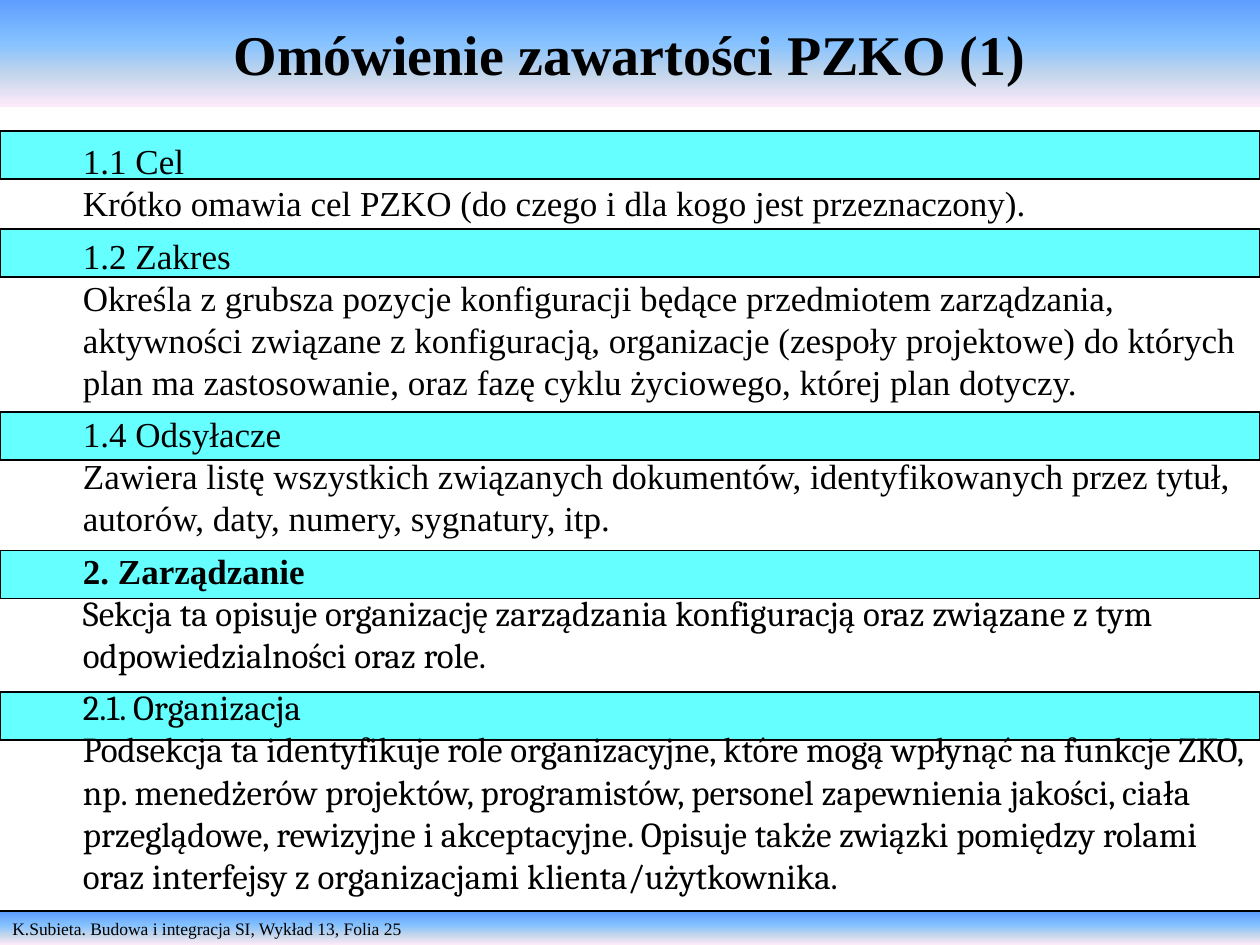
from lxml import etree
from pptx import Presentation
from pptx.dml.color import RGBColor
from pptx.enum import shapes, text
from pptx.oxml.ns import qn
from pptx.util import Pt

WIDTH, HEIGHT = 720, 540
SERIF, BODY = "Times New Roman", "Cambria"
BLACK, AQUA = "000000", "66FFFF"
SKY = [(0, "5E9EFF"), (40, "85C2FF"), (70, "C4D6EB"), (100, "FFEBFA")]
INSETS = dict(margin_left=Pt(7.2), margin_top=Pt(3.6),
              margin_right=Pt(7.2), margin_bottom=Pt(3.6))
BAND_TOPS = [74.9, 131, 235.4, 314.6, 395.3]
BAND_HEIGHT = 27.4

# heading, heading font, heading is bold, description, description font
SECTIONS = [
    ("1.1 Cel", SERIF, False,
     "Krótko omawia cel PZKO (do czego i dla kogo jest przeznaczony).", SERIF),
    ("1.2 Zakres", SERIF, False,
     "Określa z grubsza pozycje konfiguracji będące przedmiotem zarządzania, "
     "aktywności związane z konfiguracją, organizacje (zespoły projektowe) do "
     "których plan ma zastosowanie, oraz fazę cyklu życiowego, której plan "
     "dotyczy.", SERIF),
    ("1.4 Odsyłacze", SERIF, False,
     "Zawiera listę wszystkich związanych dokumentów, identyfikowanych przez "
     "tytuł, autorów, daty, numery, sygnatury, itp.", SERIF),
    ("2. Zarządzanie", SERIF, True,
     "Sekcja ta opisuje organizację zarządzania konfiguracją oraz związane z "
     "tym odpowiedzialności oraz role.", BODY),
    ("2.1. Organizacja", BODY, False,
     "Podsekcja ta identyfikuje role organizacyjne, które mogą wpłynąć na "
     "funkcje ZKO, np. menedżerów projektów, programistów, personel "
     "zapewnienia jakości, ciała przeglądowe, rewizyjne i akceptacyjne. "
     "Opisuje także związki pomiędzy rolami oraz interfejsy z organizacjami "
     "klienta/użytkownika.", BODY),
]


def color(hex_code):
    return RGBColor.from_string(hex_code)


def apply(target, **values):
    for name, value in values.items():
        setattr(target, name, value)


def write(paragraph, words, size, font=SERIF, bold=False):
    run = paragraph.add_run()
    run.text = words
    apply(run.font, size=Pt(size), name=font, bold=bold)
    run.font.color.rgb = color(BLACK)


def fill_sky(shape):
    """Fill with the four-stop gradient, running from top to bottom."""
    shape.fill.gradient()
    gradient = shape._element.spPr.find(qn("a:gradFill"))
    stops = gradient.find(qn("a:gsLst"))
    for stop in list(stops):
        stops.remove(stop)
    for percent, hex_code in SKY:
        stop = etree.SubElement(stops, qn("a:gs"), pos=str(percent * 1000))
        etree.SubElement(stop, qn("a:srgbClr"), val=hex_code)
    gradient.find(qn("a:lin")).set("ang", "5400000")


def add_bar(slide, left, top, width, height):
    bar = slide.shapes.add_shape(shapes.MSO_SHAPE.RECTANGLE, Pt(left), Pt(top),
                                 Pt(width), Pt(height))
    bar.shadow.inherit = False
    return bar


def add_footer(slide, left, top, width, height):
    bar = add_bar(slide, left, top, width, height)
    fill_sky(bar)
    bar.line.fill.background()
    apply(bar.text_frame, vertical_anchor=text.MSO_ANCHOR.TOP,
          word_wrap=True, **INSETS)
    credit = bar.text_frame.paragraphs[0]
    credit.alignment = text.PP_ALIGN.LEFT
    write(credit, "K.Subieta. Budowa i integracja SI, Wykład 13, Folia 25", 10)

    rule = slide.shapes.add_connector(
        shapes.MSO_CONNECTOR.STRAIGHT, Pt(left), Pt(top - 0.7),
        Pt(left + width), Pt(top - 0.7))
    rule.line.color.rgb = color(BLACK)
    rule.line.width = Pt(1)
    etree.SubElement(rule._element.spPr, qn("a:effectLst"))


def add_heading_bands(slide, left, width):
    for top in BAND_TOPS:
        band = add_bar(slide, left, top, width, BAND_HEIGHT)
        band.fill.solid()
        band.fill.fore_color.rgb = color(AQUA)
        band.line.color.rgb = color(BLACK)
        band.line.width = Pt(1)


def place_title(slide, left, top, width, height):
    title = slide.shapes.title
    apply(title, left=Pt(left), top=Pt(top), width=Pt(width), height=Pt(height))
    fill_sky(title)
    apply(title.text_frame, vertical_anchor=text.MSO_ANCHOR.MIDDLE,
          auto_size=text.MSO_AUTO_SIZE.NONE, word_wrap=True, **INSETS)
    heading = title.text_frame.paragraphs[0]
    heading.alignment = text.PP_ALIGN.CENTER
    write(heading, "Omówienie zawartości PZKO (1)", 32, bold=True)


def add_sections(slide, left, top, width, height):
    frame = slide.shapes.add_textbox(Pt(left), Pt(top), Pt(width),
                                     Pt(height)).text_frame
    apply(frame, word_wrap=True, **INSETS)
    paragraph = frame.paragraphs[0]
    for heading, heading_font, bold, description, font in SECTIONS:
        if paragraph is None:
            paragraph = frame.add_paragraph()
        apply(paragraph, line_spacing=Pt(24), space_after=Pt(0))
        write(paragraph, heading, 20, heading_font, bold)
        paragraph = frame.add_paragraph()
        apply(paragraph, line_spacing=Pt(24), space_after=Pt(6))
        write(paragraph, description, 20, font)
        paragraph = None


def main():
    deck = Presentation()
    apply(deck, slide_width=Pt(WIDTH), slide_height=Pt(HEIGHT))
    slide = deck.slides.add_slide(deck.slide_layouts.get_by_name("Title Only"))
    add_footer(slide, 0, 521.3, WIDTH, 18.7)
    add_heading_bands(slide, 0, WIDTH)
    place_title(slide, 0, 0, WIDTH, 61.2)
    add_sections(slide, 40.3, 76.3, 679.7, 444.2)
    deck.save("out.pptx")


if __name__ == "__main__":
    main()
